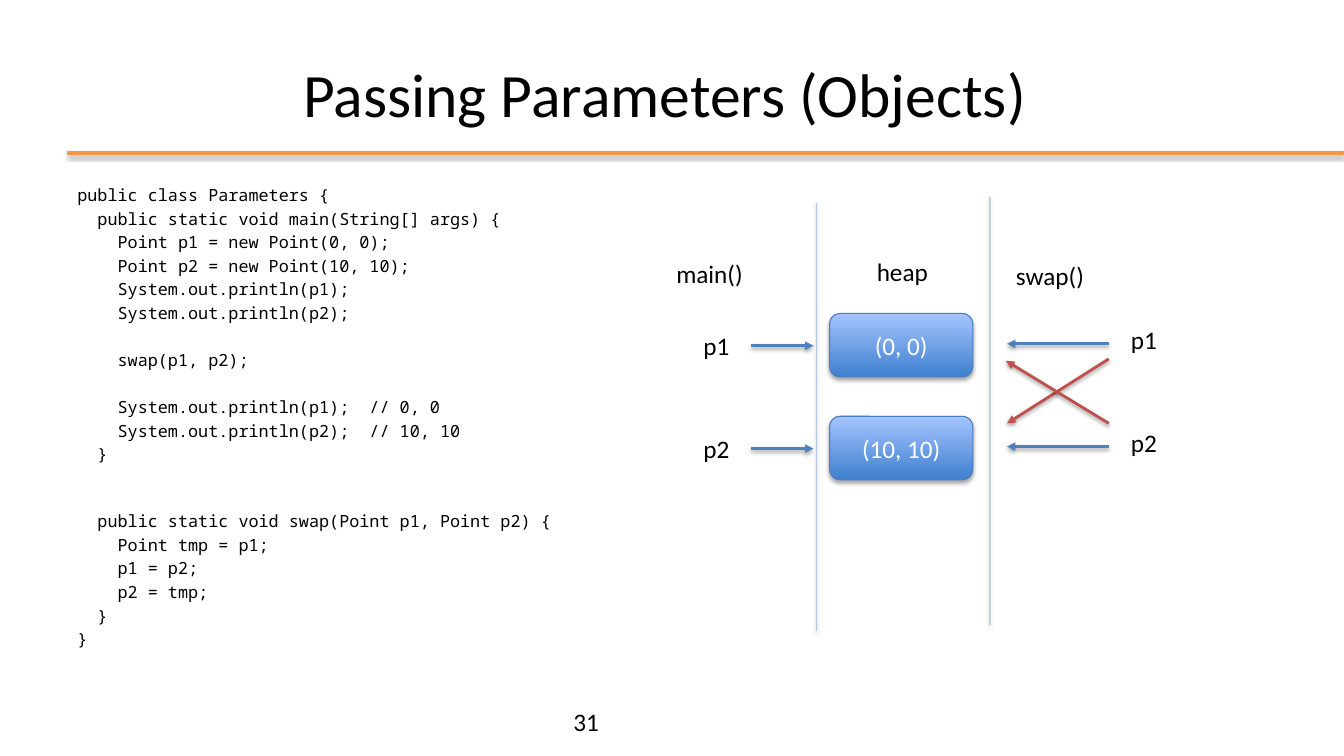
from typing import NamedTuple

from lxml import etree
from pptx import Presentation
from pptx import util as u
from pptx.dml.color import RGBColor
from pptx.enum import shapes, text
from pptx.oxml import ns

BLACK = RGBColor(0x00, 0x00, 0x00)
WHITE = RGBColor(0xFF, 0xFF, 0xFF)
ORANGE = RGBColor(0xF7, 0x96, 0x46)
BLUE = RGBColor(0x4F, 0x81, 0xBD)
RED = RGBColor(0xC0, 0x50, 0x4D)
BOX_LINE = RGBColor(0x4B, 0x7E, 0xBC)
BOX_BOTTOM = RGBColor(0x3F, 0x80, 0xCE)
BOX_TOP = RGBColor(0xA4, 0xC4, 0xFF)

SANS, MONO = "Calibri", "Noto Sans Mono"
WIDTH, HEIGHT = u.Inches(13.33), u.Inches(7.5)
ROW = 13.6
TEXT_HEIGHT = 5.33
CODE_PITCH = 16.8


class Code(NamedTuple):
    """A code line with its indent in characters and the gap above in points."""
    indent: int
    line: str
    gap: float = 0


class Label(NamedTuple):
    """A text label placed in percent of the slide."""
    caption: str
    left: float
    top: float
    width: float


class Line(NamedTuple):
    """A line between two points in percent of the slide."""
    x1: float
    y1: float
    x2: float
    y2: float
    color: RGBColor = BLUE
    width: float = 2
    arrow: bool = True
    alpha: int = 100


CODE = [
    Code(0, "public class Parameters {"),
    Code(2, "public static void main(String[] args) {"),
    Code(4, "Point p1 = new Point(0, 0);"),
    Code(4, "Point p2 = new Point(10, 10);"),
    Code(4, "System.out.println(p1);"),
    Code(4, "System.out.println(p2);"),
    Code(4, "swap(p1, p2);", 16.8),
    Code(4, "System.out.println(p1);  // 0, 0", 17.2),
    Code(4, "System.out.println(p2);  // 10, 10"),
    Code(2, "}"),
    Code(2, "public static void swap(Point p1, Point p2) {", 31),
    Code(4, "Point tmp = p1;"),
    Code(4, "p1 = p2;"),
    Code(4, "p2 = tmp;"),
    Code(2, "}"),
    Code(0, "}"),
]
LABELS = [
    Label("main()", 49.58, 33.47, 6.53),
    Label("heap", 64.5, 33.2, 5.4),
    Label("swap()", 74.85, 33.73, 6.68),
]
LINES = [
    Line(5, 20.27, 100, 20.27, ORANGE, 3, False),
    Line(60.75, 26.8, 60.75, 83.47, BLUE, 1, False, 37),
    Line(73.65, 26, 73.65, 82.67, BLUE, 1, False, 37),
    Line(82.5, 47.47, 74.93, 56, RED),
    Line(82.5, 56, 74.85, 47.73, RED),
]
POINTS = [("p1", "(0, 0)"), ("p2", "(10, 10)")]


def px(share: float) -> int:
    """Return a share of the slide width."""
    return round(WIDTH * share / 100)


def py(share: float) -> int:
    """Return a share of the slide height."""
    return round(HEIGHT * share / 100)


def place(sp, left: float, top: float, width: float, height: float) -> None:
    """Move and size a shape in percent of the slide."""
    sp.left, sp.top, sp.width, sp.height = px(left), py(top), px(width), py(height)


def style(p, size: float, name: str = SANS, color: RGBColor = BLACK) -> None:
    """Format every run of a paragraph."""
    for r in p.runs:
        r.font.size, r.font.name = u.Pt(size), name
        r.font.color.rgb = color


def set_alpha(clr, percent: int) -> None:
    """Make a colour element translucent."""
    etree.SubElement(clr, ns.qn("a:alpha")).set("val", str(percent * 1000))


def add_shadow(sp_pr, alpha: int, dist: float) -> None:
    """Add a soft shadow that falls downwards."""
    effects = etree.SubElement(sp_pr, ns.qn("a:effectLst"))
    shadow = etree.SubElement(effects, ns.qn("a:outerShdw"), blurRad=str(u.Pt(3.1)),
                              dist=str(u.Pt(dist)), dir="5400000", rotWithShape="0")
    clr = etree.SubElement(shadow, ns.qn("a:srgbClr"), val=str(BLACK))
    set_alpha(clr, alpha)


def add_line(slide, line: Line) -> None:
    """Draw a divider or an arrow."""
    sp = slide.shapes.add_connector(shapes.MSO_CONNECTOR.STRAIGHT, px(line.x1),
                                    py(line.y1), px(line.x2), py(line.y2))
    sp.line.color.rgb, sp.line.width = line.color, u.Pt(line.width)
    ln = sp.line._get_or_add_ln()
    if line.alpha < 100:
        set_alpha(ln.find(".//" + ns.qn("a:srgbClr")), line.alpha)
    if line.arrow:
        etree.SubElement(ln, ns.qn("a:tailEnd"), type="triangle")
    add_shadow(ln.getparent(), 38, 1.6)


def add_label(slide, label: Label) -> None:
    """Write a label on one line."""
    sp = slide.shapes.add_textbox(0, 0, 0, 0)
    place(sp, label.left, label.top, label.width, TEXT_HEIGHT)
    tf = sp.text_frame
    tf.text, tf.word_wrap = label.caption, False
    tf.auto_size = text.MSO_AUTO_SIZE.SHAPE_TO_FIT_TEXT
    style(tf.paragraphs[0], 18)


def add_box(slide, caption: str, top: float) -> None:
    """Draw an object on the heap."""
    sp = slide.shapes.add_shape(shapes.MSO_SHAPE.ROUNDED_RECTANGLE, 0, 0, 0, 0)
    place(sp, 61.73, top, 10.65, 8.4)
    sp.fill.gradient()
    sp.fill.gradient_angle = 90
    for stop, color, position in zip(sp.fill.gradient_stops, (BOX_BOTTOM, BOX_TOP), (0, 1)):
        stop.color.rgb, stop.position = color, position
    sp.line.color.rgb, sp.line.width = BOX_LINE, u.Pt(0.75)
    add_shadow(sp.fill._xPr, 35, 1.8)
    tf = sp.text_frame
    tf.text, tf.vertical_anchor = caption, text.MSO_ANCHOR.MIDDLE
    p = tf.paragraphs[0]
    p.alignment = text.PP_ALIGN.CENTER
    style(p, 18, color=WHITE)


def add_title(sp, caption: str) -> None:
    """Fill the title placeholder."""
    place(sp, 5, 4, 90, 16.67)
    tf = sp.text_frame
    tf.text, tf.vertical_anchor = caption, text.MSO_ANCHOR.MIDDLE
    p = tf.paragraphs[0]
    p.alignment = text.PP_ALIGN.CENTER
    style(p, 44)


def add_code(sp) -> None:
    """Fill the body placeholder with the program."""
    place(sp, 5, 23.33, 44.2, 66)
    tf = sp.text_frame
    tf.auto_size = text.MSO_AUTO_SIZE.NONE
    for i, code in enumerate(CODE):
        p = tf.add_paragraph() if i else tf.paragraphs[0]
        p.text = code.line
        p.line_spacing, p.space_before = u.Pt(CODE_PITCH), u.Pt(code.gap)
        p_pr = p._p.get_or_add_pPr()
        p_pr.set("marL", str(u.Inches(code.indent / 10)))
        p_pr.set("indent", "0")
        etree.SubElement(p_pr, ns.qn("a:buNone"))
        style(p, 12, MONO)


def main() -> None:
    """Build the slide and save it."""
    prs = Presentation()
    prs.slide_width, prs.slide_height = WIDTH, HEIGHT
    slide = prs.slides.add_slide(prs.slide_layouts[1])
    add_title(slide.shapes.title, "Passing Parameters (Objects) ")
    add_code(slide.placeholders[1])
    for i, (name, value) in enumerate(POINTS):
        dy = i * ROW
        add_box(slide, value, 41.47 + dy)
        add_label(slide, Label(name, 51.6, 43.07 + dy, 3.45))
        add_label(slide, Label(name, 83.4, 42.27 + dy, 3.45))
        add_line(slide, Line(55.88, 45.73 + dy, 60.53, 45.73 + dy))
        add_line(slide, Line(82.5, 45.47 + dy, 74.93, 45.47 + dy))
    for line in LINES:
        add_line(slide, line)
    for label in LABELS + [Label("31", 41.93, 92.8, 3.45)]:
        add_label(slide, label)
    prs.save("out.pptx")


if __name__ == "__main__":
    main()
